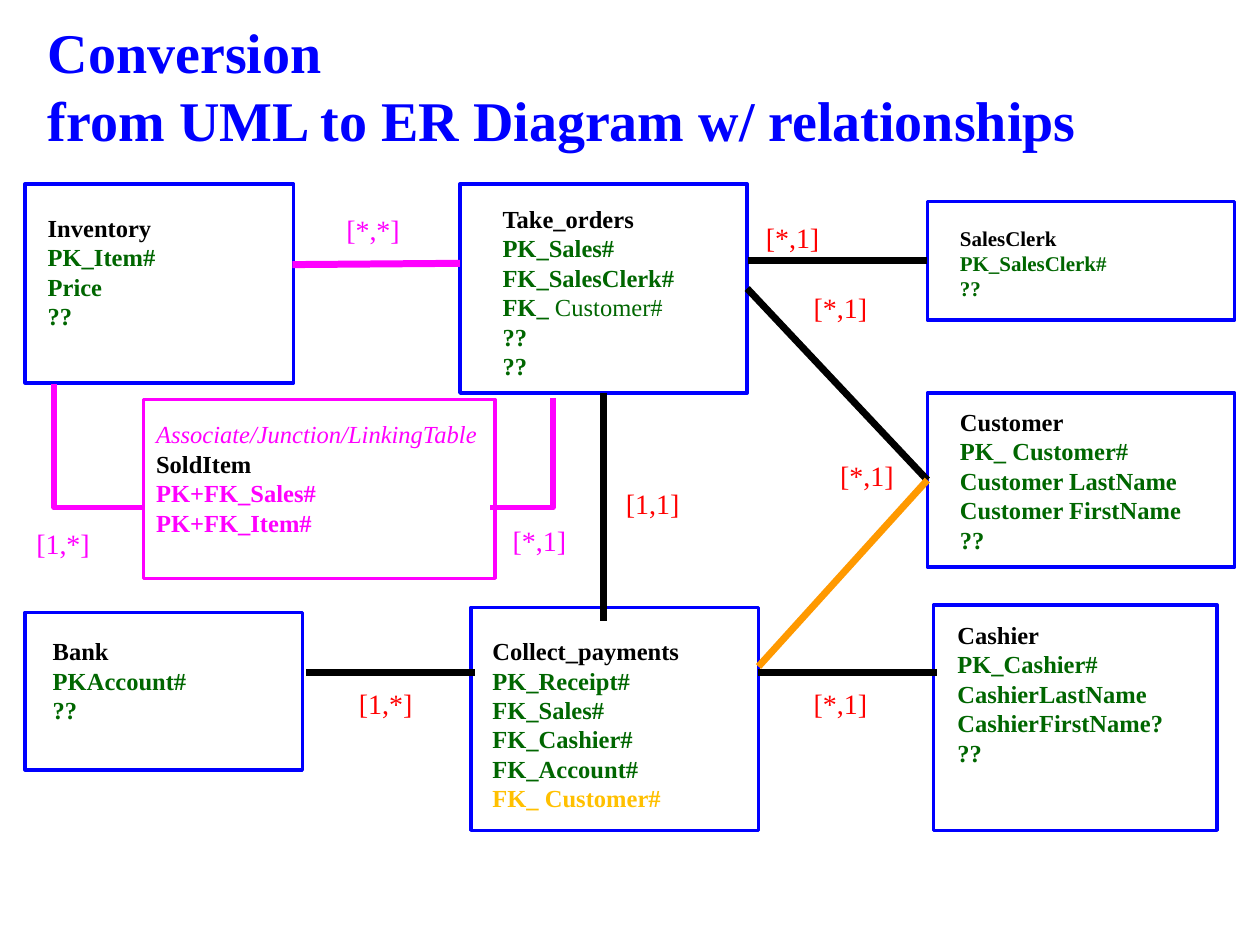
import pptx
import pptx.dml.color
import pptx.enum.shapes
import pptx.enum.text
import pptx.oxml.ns
import pptx.util
from lxml import etree
from pptx.util import Inches

BLUE, MAGENTA, GREEN, BLACK = "0000FF", "FF00FF", "006600", "000000"
RED, ORANGE, GOLD = "FF0000", "FF9900", "FFC000"
TOP, LEFT, BOTTOM, RIGHT = 0, 1, 2, 3
CONNECTOR = pptx.enum.shapes.MSO_CONNECTOR


def rgb(color):
    return pptx.dml.color.RGBColor.from_string(color)


def style(run, size, color, bold=False, italic=False):
    font = run.font
    font.name, font.size = "Times New Roman", pptx.util.Pt(size)
    font.bold, font.italic = bold, italic
    font.color.rgb = rgb(color)


prs = pptx.Presentation()
prs.slide_width, prs.slide_height = Inches(10), Inches(7.5)
slide = prs.slides.add_slide(prs.slide_layouts[5])
shapes = slide.shapes

title = shapes.title
title.left, title.top = Inches(0.28), Inches(0.06)
title.width, title.height = Inches(9.21), Inches(1.23)
title.text_frame.text = "Conversion\vfrom UML to ER Diagram w/ relationships"
title.text_frame.auto_size = pptx.enum.text.MSO_AUTO_SIZE.NONE
title.text_frame.vertical_anchor = pptx.enum.text.MSO_ANCHOR.MIDDLE
title_line = title.text_frame.paragraphs[0]
title_line.alignment = pptx.enum.text.PP_ALIGN.LEFT
for run in title_line.runs:
    style(run, 32, BLUE, bold=True)

# name, frame (left, top, width, height), text box (left, top, width, height), size, fields
# In a field, the part after "|" is not bold.
entities = [
    ("Inventory", (0.2, 1.46, 2.13, 1.58), (0.28, 1.64, 2.05, 1.51), 14,
     ["PK_Item#", "Price", "??"]),
    ("Take_orders", (3.65, 1.46, 2.28, 1.66), (3.89, 1.57, 1.97, 1.75), 14,
     ["PK_Sales#", "FK_SalesClerk#", "FK_| Customer#", "??", "??"]),
    ("SalesClerk", (7.36, 1.6, 2.44, 0.94), (7.52, 1.74, 1.73, 0.94), 12,
     ["PK_SalesClerk#", "??"]),
    ("Customer", (7.36, 3.12, 2.44, 1.38), (7.52, 3.18, 2.28, 1.51), 14,
     ["PK_ Customer#", "Customer LastName", "Customer FirstName", "??"]),
    ("Bank", (0.2, 4.86, 2.2, 1.25), (0.32, 5, 2.08, 0.81), 14,
     ["PKAccount#", "??"]),
    ("Collect_payments", (3.74, 4.82, 2.28, 1.77), (3.81, 5, 2.44, 1.99), 14,
     ["PK_Receipt#", "FK_Sales#", "FK_Cashier#", "FK_Account#", "FK_ Customer#"]),
    ("Cashier", (7.41, 4.8, 2.25, 1.79), (7.5, 4.87, 1.98, 1.75), 14,
     ["PK_Cashier#", "CashierLastName", "CashierFirstName?", "??"]),
    ("SoldItem", (1.14, 3.17, 2.79, 1.42), (1.14, 3.28, 2.79, 1.51), 14,
     ["PK+FK_Sales#", "PK+FK_Item#"]),
]

frames, field_texts = {}, {}
for name, frame_box, text_box, size, fields in entities:
    is_junction = name == "SoldItem"
    frame = shapes.add_shape(pptx.enum.shapes.MSO_SHAPE.RECTANGLE, *map(Inches, frame_box))
    frame.shadow.inherit = False
    frame.fill.background()
    frame.line.color.rgb = rgb(MAGENTA if is_junction else BLUE)
    frame.line.width = pptx.util.Pt(2)
    frames[name] = frame

    text = shapes.add_textbox(*map(Inches, text_box)).text_frame
    text.word_wrap = True
    text.auto_size = pptx.enum.text.MSO_AUTO_SIZE.SHAPE_TO_FIT_TEXT
    heading = ["Associate/Junction/LinkingTable"] if is_junction else []
    text.text = "\n".join(heading + [name] + [field.replace("|", "") for field in fields])
    lines = text.paragraphs
    if is_junction:
        style(lines[0].runs[0], size, MAGENTA, italic=True)
        lines = lines[1:]
    style(lines[0].runs[0], size, BLACK, bold=True)
    for line, field in zip(lines[1:], fields):
        key, _, plain = field.partition("|")
        line.runs[0].text = key
        style(line.runs[0], size, MAGENTA if is_junction else GREEN, bold=True)
        if plain:
            plain_run = line.add_run()
            plain_run.text = plain
            style(plain_run, size, GREEN)
    field_texts[name] = lines

# Collect_payments ends with the key behind the orange relationship
field_texts["Collect_payments"][-1].runs[0].font.color.rgb = rgb(GOLD)

# start, end, color, width, entity and side joined at the start and at the end
relationships = [
    ((2.32, 2.1), (3.65, 2.09), MAGENTA, 4, None, None),
    ((2.43, 5.34), (3.77, 5.34), BLACK, 4, None, None),
    ((5.94, 2.07), (7.36, 2.07), BLACK, 4, None, ("SalesClerk", LEFT)),
    ((6.02, 5.34), (7.44, 5.34), BLACK, 4, None, None),
    ((5.93, 2.29), (7.36, 3.81), BLACK, 4, ("Take_orders", RIGHT), ("Customer", LEFT)),
    ((7.36, 3.81), (6.02, 5.29), ORANGE, 4, ("Customer", LEFT), None),
    ((4.79, 3.12), (4.79, 4.93), BLACK, 4, ("Take_orders", BOTTOM), None),
]
junction_links = [
    ((1.14, 4.03), (0.43, 3.05), MAGENTA, 3, None, None),
    ((3.89, 4.03), (4.39, 3.16), MAGENTA, 3, None, None),
]
for link in relationships + junction_links:
    start, end, color, width, start_joint, end_joint = link
    kind = CONNECTOR.ELBOW if link in junction_links else CONNECTOR.STRAIGHT
    connector = shapes.add_connector(kind, *map(Inches, start + end))
    if start_joint:
        connector.begin_connect(frames[start_joint[0]], start_joint[1])
    if end_joint:
        connector.end_connect(frames[end_joint[0]], end_joint[1])
    connector.line.color.rgb = rgb(color)
    connector.line.width = pptx.util.Pt(width)
    properties = connector.element.spPr
    etree.SubElement(properties, pptx.oxml.ns.qn("a:effectLst"))
    if kind == CONNECTOR.ELBOW:  # a single bend
        properties.find(pptx.oxml.ns.qn("a:prstGeom")).set("prst", "bentConnector2")

cardinalities = [
    ("[*,*]", 2.65, 1.64, MAGENTA),
    ("[*,1]", 5.98, 1.7, RED),
    ("[*,1]", 6.36, 2.26, RED),
    ("[*,1]", 6.36, 5.4, RED),
    ("[*,1]", 6.57, 3.59, RED),
    ("[1,*]", 2.75, 5.4, RED),
    ("[1,1]", 4.87, 3.81, RED),
    ("[1,*]", 0.19, 4.13, MAGENTA),
    ("[*,1]", 3.97, 4.11, MAGENTA),
]
for cardinality, left, top, color in cardinalities:
    text = shapes.add_textbox(Inches(left), Inches(top), Inches(0.67), Inches(0.37)).text_frame
    text.auto_size = pptx.enum.text.MSO_AUTO_SIZE.SHAPE_TO_FIT_TEXT
    text.word_wrap = True
    text.text = cardinality
    style(text.paragraphs[0].runs[0], 16, color)

prs.save("out.pptx")
